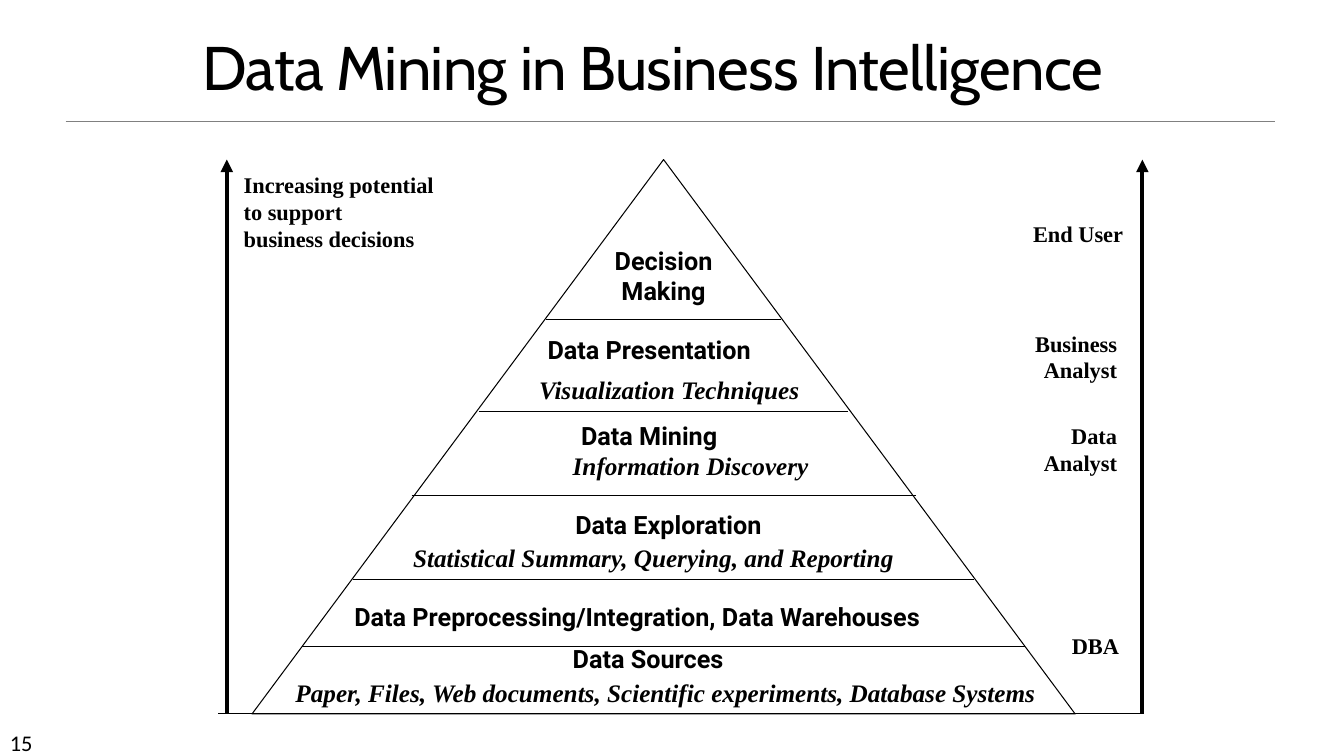
import pptx
import pptx.dml.color
import pptx.enum.shapes
import pptx.enum.text
import pptx.oxml
import pptx.oxml.ns
import pptx.util

Pt = pptx.util.Pt
Align = pptx.enum.text.PP_ALIGN
COLORS = {"ink": "000000", "rule": "808080"}
FONTS = {"title": "Cabin", "number": "Calibri", "level": "Roboto", "serif": "Times New Roman"}


class PyramidPage:
    """Holds the style and the current slide; all lengths are in points."""

    def __init__(self, deck):
        self.page = deck.slides.add_slide(deck.slide_layouts[6])

    def color(self, name):
        return pptx.dml.color.RGBColor.from_string(COLORS[name])

    def line(self, x1, y1, x2, y2, width=0.75, color="ink", arrow=False):
        line = self.page.shapes.add_connector(
            pptx.enum.shapes.MSO_CONNECTOR.STRAIGHT, Pt(x1), Pt(y1), Pt(x2), Pt(y2))
        line.line.width = Pt(width)
        line.line.color.rgb = self.color(color)
        properties = line._element.spPr
        if arrow:
            outline = properties.find(pptx.oxml.ns.qn("a:ln"))
            head = pptx.oxml.parse_xml(
                f'<a:tailEnd {pptx.oxml.ns.nsdecls("a")} type="triangle"/>')
            outline.append(head)
        properties.append(pptx.oxml.parse_xml(
            f'<a:effectLst {pptx.oxml.ns.nsdecls("a")}/>'))

    def triangle(self, left, top, width, height):
        shape = self.page.shapes.add_shape(
            pptx.enum.shapes.MSO_SHAPE.FLOWCHART_EXTRACT,
            Pt(left), Pt(top), Pt(width), Pt(height))
        shape.shadow.inherit = False
        shape.fill.background()
        shape.line.color.rgb = self.color("ink")
        shape.line.width = Pt(0.75)

    def text(self, words, left, top, width, height, font="serif", size=18,
             bold=True, italic=False, align=Align.LEFT, wrap=False):
        box = self.page.shapes.add_textbox(Pt(left), Pt(top), Pt(width), Pt(height))
        frame = box.text_frame
        frame.text = words
        frame.word_wrap = wrap
        frame.auto_size = pptx.enum.text.MSO_AUTO_SIZE.SHAPE_TO_FIT_TEXT
        for para in frame.paragraphs:
            para.alignment = align
            for span in para.runs:
                span.font.name = FONTS[font]
                span.font.size = Pt(size)
                span.font.bold = bold
                span.font.italic = italic
                span.font.color.rgb = self.color("ink")
        return frame

    def title(self, words, left, top, width, height):
        frame = self.text(words, left, top, width, height, "title", 44,
                          bold=False, align=Align.CENTER, wrap=True)
        frame.auto_size = pptx.enum.text.MSO_AUTO_SIZE.NONE
        frame.vertical_anchor = pptx.enum.text.MSO_ANCHOR.MIDDLE
        para = frame.paragraphs[0]
        para.line_spacing = 0.85
        para.runs[0]._r.get_or_add_rPr().set("spc", "-50")

    def role(self, words, right, top, height):
        """Right-aligned label beside the right arrow."""
        width = 90
        self.text(words, right - width, top, width, height, size=16,
                  align=Align.RIGHT, wrap=True)


def main():
    deck = pptx.Presentation()
    deck.slide_width, deck.slide_height = Pt(960), Pt(540)
    page = PyramidPage(deck)

    page.line(46.8, 86.4, 910.8, 86.4, width=0.5, color="rule")
    page.text("15", 0, 517, 84, 21.6, "number", 16, bold=False, wrap=True)
    page.title("Data Mining in Business Intelligence ", 40.3, 30.2, 861, 41.8)

    apex, base = 114, 510
    page.triangle(180, apex, 588, base - apex)
    for y, left, right in [(462, 216, 732), (414, 252, 696), (354, 294, 654),
                           (294, 342, 606), (228, 390, 558)]:
        page.line(left, y, right, y)
    for x in (162, 816):
        page.line(x, base, x, apex, width=3, arrow=True)

    page.text("Increasing potential\nto support\nbusiness decisions",
              167, 119, 151.2, 65, size=16)
    for words, right, top, height in [
            ("End User", 809.3, 154, 26.6), ("Business\nAnalyst", 805, 232, 46),
            ("Data\nAnalyst", 805, 298, 46), ("DBA", 806.4, 448, 26.6)]:
        page.role(words, right, top, height)

    page.text("Decision Making", 426, 171.4, 96, 50.4, "level",
              align=Align.CENTER, wrap=True)
    page.text("Data Exploration", 385, 360, 185, 29, "level",
              align=Align.CENTER, wrap=True)
    for words, left, top, width in [
            ("Data Presentation", 384, 235.4, 178),
            ("Data Mining", 408, 296.6, 140.4),
            ("Data Preprocessing/Integration, Data Warehouses", 246, 426, 474.5),
            ("Data Sources", 402, 456, 134)]:
        page.text(words, left, top, width, 29, "level", wrap=words == "Data Mining")
    for words, left, top, width in [
            ("Visualization Techniques", 378, 264, 203),
            ("Information Discovery", 402, 318, 183),
            ("Statistical Summary, Querying, and Reporting", 288, 384, 360),
            ("Paper, Files, Web documents, Scientific experiments, Database Systems",
             204, 480, 560)]:
        page.text(words, left, top, width, 29, italic=True, wrap=width >= 360)

    page.line(156, base, 816, base)
    deck.save("out.pptx")


if __name__ == "__main__":
    main()
